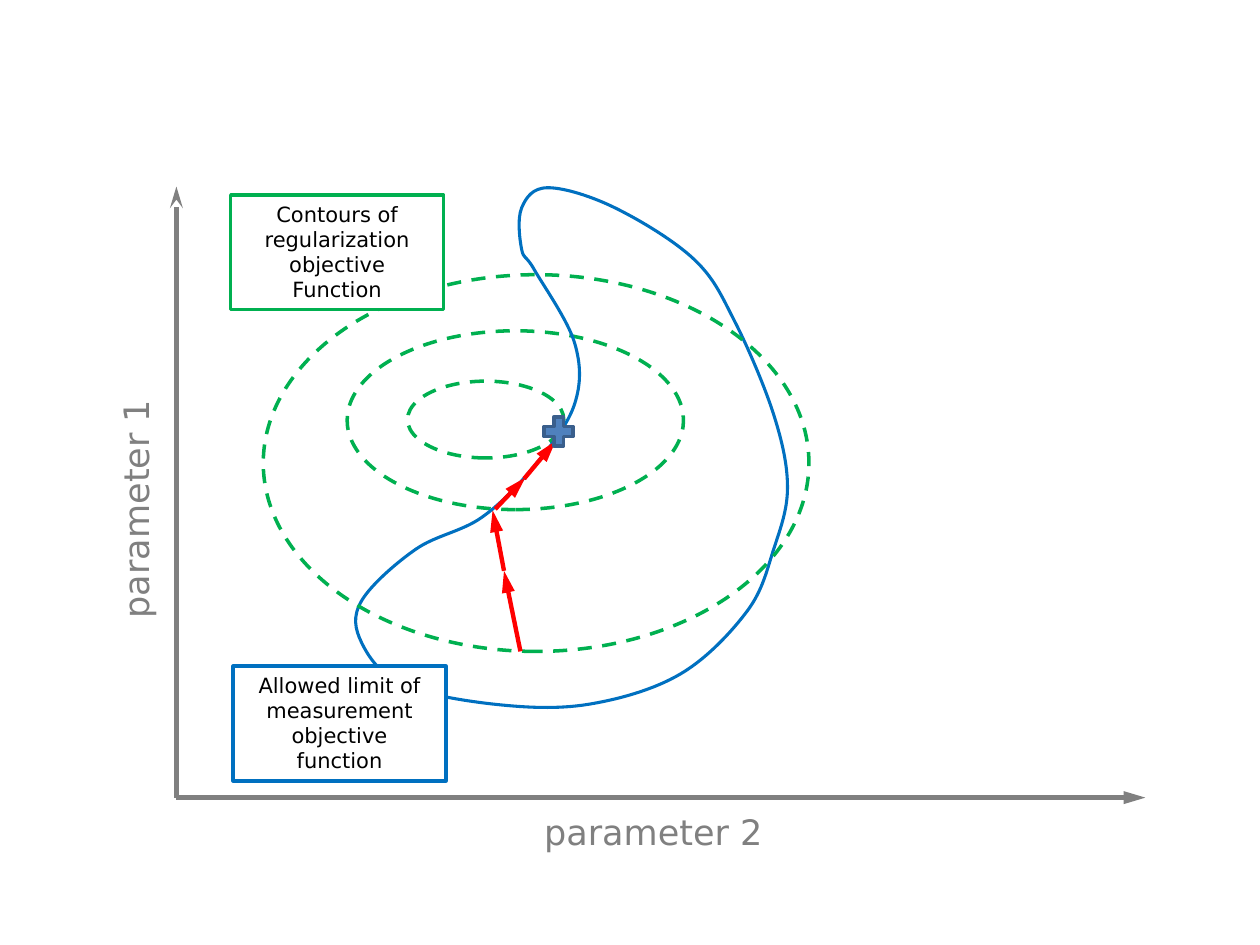
from pptx import Presentation
from pptx.dml.color import RGBColor
from pptx.enum import dml, shapes as kinds, text as txt
from pptx.oxml import ns, parse_xml
from pptx.util import Pt

GRAY, GREEN, BLUE, RED, WHITE = "808080", "00B050", "0070C0", "FF0000", "FFFFFF"

prs = Presentation()
prs.slide_width, prs.slide_height = Pt(720), Pt(540)
slide = prs.slides.add_slide(prs.slide_layouts[6])
canvas = slide.shapes


def paint(part, line=None, width=2, fill=None):
    """Set the line and fill of a shape from hex strings; None means empty."""
    if line:
        part.line.color.rgb = RGBColor.from_string(line)
        part.line.width = Pt(width)
    else:
        part.line.fill.background()
    if fill:
        part.fill.solid()
        part.fill.fore_color.rgb = RGBColor.from_string(fill)
    else:
        part.fill.background()


def write(content, left, top, width, height, size=12, color="000000", line=None, turn=0):
    """Add a white box with centred text."""
    box = canvas.add_textbox(Pt(left), Pt(top), Pt(width), Pt(height))
    box.rotation = turn
    paint(box, line, fill=WHITE)
    frame = box.text_frame
    frame.word_wrap = True
    frame.auto_size = txt.MSO_AUTO_SIZE.SHAPE_TO_FIT_TEXT
    paragraph = frame.paragraphs[0]
    paragraph.alignment = txt.PP_ALIGN.CENTER
    run = paragraph.add_run()
    run.text = content
    run.font.name, run.font.size = "DejaVu Sans", Pt(size)
    run.font.color.rgb = RGBColor.from_string(color)


# Axis labels
write("parameter 2", 218.2, 459.4, 310.3, 31.7, size=20, color=GRAY)

# Closed smooth limit through these points
anchors = [
    (305.3, 154.1), (328.3, 195.8), (328.3, 231.1), (305.3, 266.4), (275, 295.9),
    (237.6, 313.9), (206.6, 343.4), (206.6, 367.2), (229.7, 391), (283, 402.5),
    (336.2, 402.5), (388.8, 385.2), (427, 349.2), (442.1, 313.9), (450, 278.6),
    (442.1, 236.9), (419.8, 183.6), (396.7, 148.3), (351.4, 118.8), (313.2, 107.3),
    (298.1, 118.8), (298.1, 142.6),
]
count = len(anchors)
origin = [min(axis) for axis in zip(*anchors)]

# Contours, with the limit between the inner two and the outer one
contours = [(243.4, 144, 102.2, 192.2), (255.6, 195.1, 43.9, 89.3), (198.7, 108.7, 215.3, 311.8)]
for number, frame_box in enumerate(contours):
    if number == 2:
        corners = [(Pt(x), Pt(y)) for x, y in anchors]
        builder = canvas.build_freeform(*corners[0])
        builder.add_line_segments(corners[1:] + corners[:1], close=True)
        limit = builder.convert_to_shape()
        limit.shadow.inherit = False
        paint(limit, BLUE, 1.75)
        # Each straight side becomes a curve whose handles follow its neighbours
        for i, side in enumerate(list(limit._element.iter(ns.qn("a:lnTo")))):
            before, start, end, after = (anchors[(i + k) % count] for k in (-1, 0, 1, 2))
            leave = [s + (e - b) / 6 for b, s, e in zip(before, start, end)]
            arrive = [e - (a - s) / 6 for s, e, a in zip(start, end, after)]
            points = "".join(
                f'<a:pt x="{Pt(x - origin[0])}" y="{Pt(y - origin[1])}"/>'
                for x, y in (leave, arrive, end))
            side.getparent().replace(side, parse_xml(
                f'<a:cubicBezTo {ns.nsdecls("a")}>{points}</a:cubicBezTo>'))
    contour = canvas.add_shape(kinds.MSO_SHAPE.OVAL, *map(Pt, frame_box))
    contour.shadow.inherit = False
    contour.rotation = 270
    paint(contour, GREEN)
    contour.line.dash_style = dml.MSO_LINE.DASH

write("Contours of regularization objective Function", 131.8, 111.4, 121.7, 65.5, line=GREEN)
write("Allowed limit of measurement objective function", 133.2, 380.7, 121.7, 65.5, line=BLUE)
write("parameter 1", -77.6, 275, 310.3, 31.7, size=20, color=GRAY, turn=270)

# Axes and search steps
arrows = [
    (100.8, 455.8, 100.8, 106.6, GRAY, "stealth"),
    (100.8, 455.8, 654.5, 455.8, GRAY, "triangle"),
    (299.5, 273.6, 317.5, 252, RED, "triangle"),
    (288, 326.2, 281.5, 291.6, RED, "triangle"),
    (297.4, 372.2, 288, 326.2, RED, "triangle"),
    (283, 290.9, 300.2, 272.9, RED, "triangle"),
]
for *ends, color, head in arrows:
    arrow = canvas.add_connector(kinds.MSO_CONNECTOR.STRAIGHT, *map(Pt, ends))
    arrow.line.color.rgb = RGBColor.from_string(color)
    arrow.line.width = Pt(2.5)
    arrow.line._get_or_add_ln().append(
        parse_xml(f'<a:tailEnd {ns.nsdecls("a")} type="{head}" len="lg"/>'))
    arrow._element.spPr.append(parse_xml(f'<a:effectLst {ns.nsdecls("a")}/>'))

# Optimum
optimum = canvas.add_shape(kinds.MSO_SHAPE.CROSS, Pt(311), Pt(238.3), Pt(16.6), Pt(16.6))
optimum.adjustments[0] = 0.33
optimum.shadow.inherit = False
paint(optimum, "3A5F8C", fill="4F81BD")

prs.save("out.pptx")
